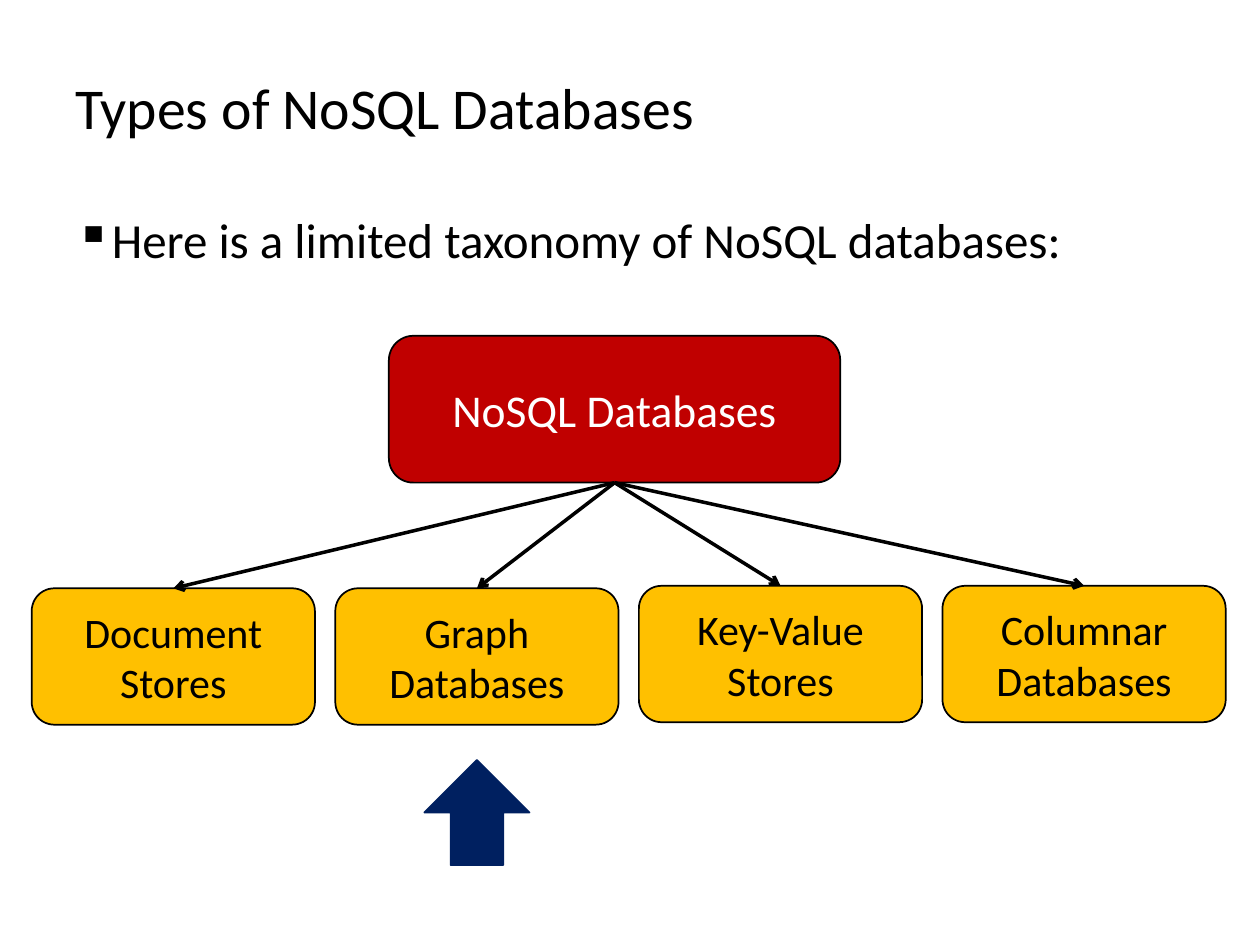
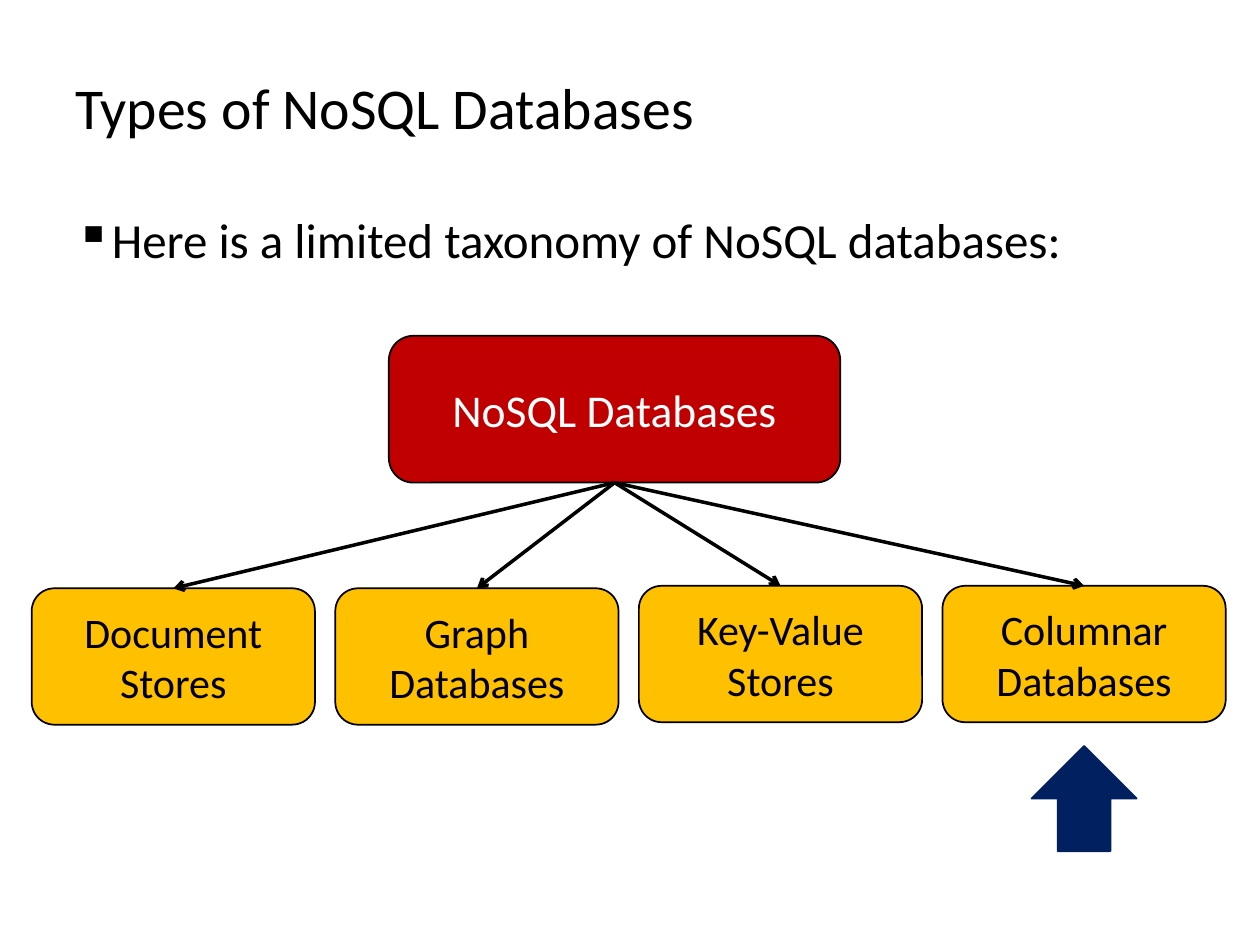
from lxml.etree import SubElement
from pptx import Presentation
from pptx.dml.color import RGBColor
from pptx.enum.shapes import MSO_CONNECTOR as Connector, MSO_SHAPE as Preset
from pptx.enum.text import MSO_ANCHOR as Anchor, PP_ALIGN as Align
from pptx.oxml.ns import qn
from pptx.util import Cm, Pt

BLACK = RGBColor(0x00, 0x00, 0x00)
WHITE = RGBColor(0xFF, 0xFF, 0xFF)
RED = RGBColor(0xC0, 0x00, 0x00)
GOLD = RGBColor(0xFF, 0xC0, 0x00)
NAVY = RGBColor(0x00, 0x20, 0x60)

BOTTOM, TOP = 2, 0

TYPE_LEFT, TYPE_PITCH = 0.64, 6.12
TYPE_WIDTH, TYPE_HEIGHT = 5.71, 2.75
POINTER_SIZE = 2.12
TYPES = [  # label, top
    ("Document Stores", 11.86),
    ("Graph Databases", 11.86),
    ("Key-Value Stores", 11.81),
    ("Columnar Databases", 11.81),
]
POINTERS = [  # index of the type pointed at, top of the pointer
    (1, 15.32),
    (3, 15.04),
]


class Deck:
    """Holds the shared style and the slide being filled."""

    font_name = "Calibri"

    def __init__(self):
        self.presentation = Presentation()
        self.presentation.slide_width = Cm(25.4)
        self.presentation.slide_height = Cm(19.05)
        self.slide = None

    def new_slide(self):
        self.slide = self.presentation.slides.add_slide(self.presentation.slide_layouts[6])

    def fill_text(self, shape, text, size, color=BLACK, anchor=Anchor.MIDDLE, bullet=None, **formats):
        """Put one paragraph in a shape; formats are paragraph attributes."""
        frame = shape.text_frame
        frame.word_wrap = True
        frame.vertical_anchor = anchor
        paragraph = frame.paragraphs[0]
        paragraph.text = text
        if bullet:
            properties = paragraph._p.get_or_add_pPr()
            properties.set("marL", str(Cm(0.48)))
            properties.set("indent", str(-Cm(0.48)))
            SubElement(properties, qn("a:buChar"), char=bullet)
        for name, value in formats.items():
            setattr(paragraph, name, value)
        font = paragraph.runs[0].font
        for name, value in {"name": self.font_name, "size": Pt(size)}.items():
            setattr(font, name, value)
        font.color.rgb = color

    def text(self, box, text, size, **formats):
        shape = self.slide.shapes.add_textbox(*map(Cm, box))
        self.fill_text(shape, text, size, line_spacing=0.9, **formats)

    def shape(self, preset, box, fill, line=BLACK):
        shape = self.slide.shapes.add_shape(preset, *map(Cm, box))
        shape.shadow.inherit = False
        shape.fill.solid()
        shape.fill.fore_color.rgb = fill
        shape.line.color.rgb = line
        shape.line.width = Pt(1)
        return shape

    def node(self, box, label, fill, size, color=BLACK):
        node = self.shape(Preset.ROUNDED_RECTANGLE, box, fill)
        self.fill_text(node, label, size, color, alignment=Align.CENTER)
        return node

    def branch(self, parent, child):
        """Draw an arrow from the bottom of the parent to the top of the child."""
        connector = self.slide.shapes.add_connector(Connector.STRAIGHT, 0, 0, 0, 0)
        connector.begin_connect(parent, BOTTOM)
        connector.end_connect(child, TOP)
        connector.line.color.rgb = BLACK
        connector.line.width = Pt(2)
        properties = connector._element.spPr
        SubElement(properties.find(qn("a:ln")), qn("a:tailEnd"), type="arrow")
        SubElement(properties, qn("a:effectLst"))

    def pointer(self, type_index, top):
        """Draw an up arrow centred under one of the types."""
        center = TYPE_LEFT + type_index * TYPE_PITCH + TYPE_WIDTH / 2
        box = (center - POINTER_SIZE / 2, top, POINTER_SIZE, POINTER_SIZE)
        self.shape(Preset.UP_ARROW, box, NAVY, NAVY)

    def taxonomy(self):
        root = self.node((7.84, 6.77, 9.1, 2.96), "NoSQL Databases", RED, 26, WHITE)
        children = [
            self.node((TYPE_LEFT + index * TYPE_PITCH, top, TYPE_WIDTH, TYPE_HEIGHT), label, GOLD, 24)
            for index, (label, top) in enumerate(TYPES)
        ]
        for child in children:
            self.branch(root, child)


def main():
    deck = Deck()
    for type_index, top in POINTERS:
        deck.new_slide()
        deck.text((1.27, 0.64, 22.86, 3.18), "Types of NoSQL Databases", 33)
        deck.text((1.27, 4.24, 23.5, 14.6), "Here is a limited taxonomy of NoSQL databases:", 28,
                  anchor=Anchor.TOP, bullet="▪")
        deck.taxonomy()
        deck.pointer(type_index, top)
    deck.presentation.save("out.pptx")


if __name__ == "__main__":
    main()
